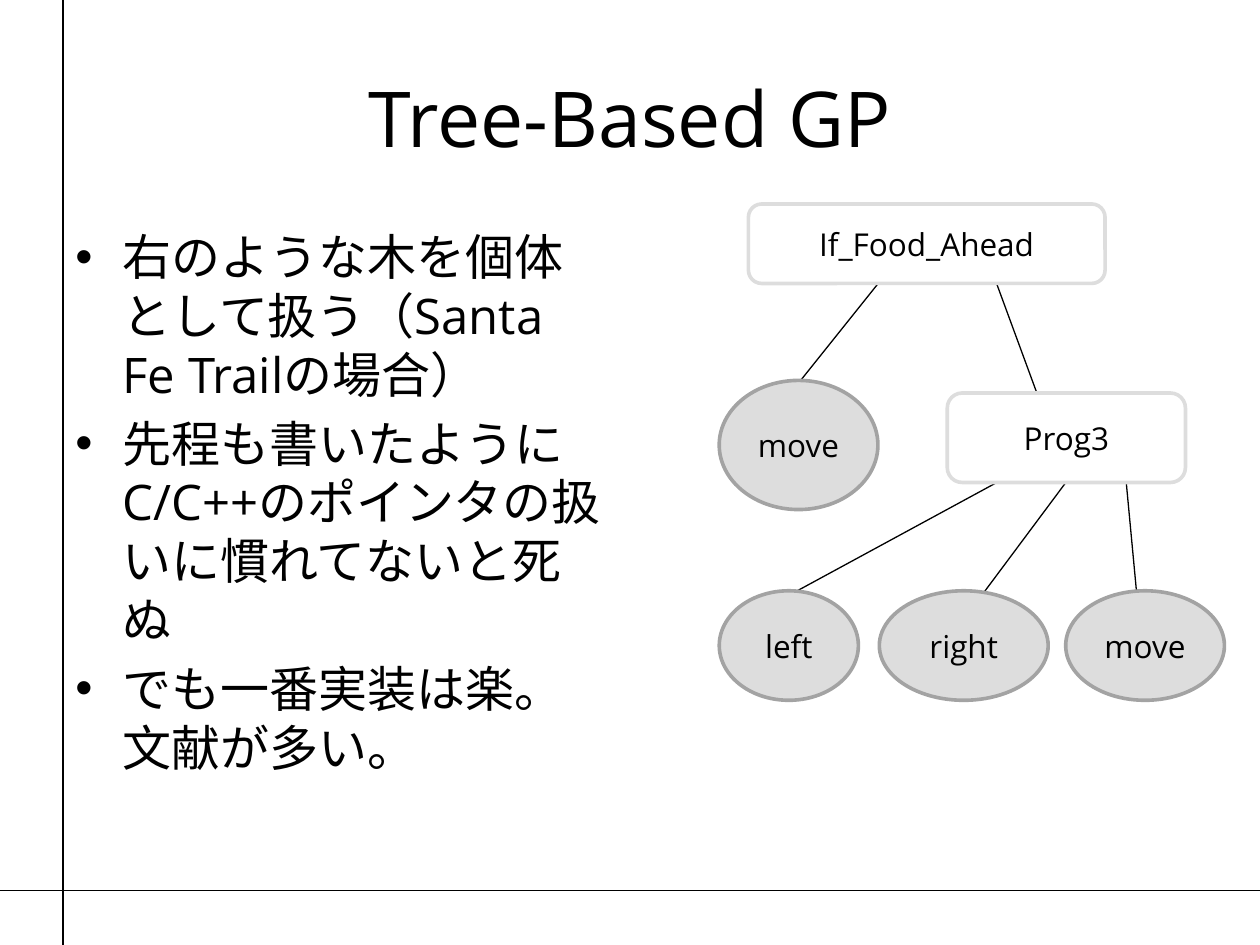
from lxml import etree
from pptx import Presentation
from pptx.dml.color import RGBColor
from pptx.enum import shapes, text
from pptx.oxml import ns
from pptx.util import Pt

HUES = {"ink": "000000", "paper": "FFFFFF", "pale": "DDDDDD", "grey": "A3A3A3"}
FONT = "Open Sans"
WIDE, HIGH = 720, 540
POINTS = [
    "右のような木を個体として扱う（Santa Fe Trailの場合）",
    "先程も書いたようにC/C++のポインタの扱いに慣れてないと死ぬ",
    "でも一番実装は楽。文献が多い。",
]
KINDS = {
    "branch": (shapes.MSO_SHAPE.ROUNDED_RECTANGLE, "paper", "pale"),
    "leaf": (shapes.MSO_SHAPE.OVAL, "pale", "grey"),
}
NODES = [
    ("If_Food_Ahead", "branch", 16.7, 0, 203.8, 45.4),
    ("move", "leaf", 0, 100.8, 90.7, 73.8),
    ("Prog3", "branch", 130.3, 108, 136.1, 51.1),
    ("left", "leaf", 0, 221, 79.5, 62.6),
    ("right", "leaf", 91.5, 221, 96.5, 62.6),
    ("move", "leaf", 198, 221, 90.7, 62.6),
]
EDGES = [
    (90.8, 45.4, 45.4, 102.2),
    (158.5, 45.4, 181.5, 108),
    (158.5, 159.2, 33.9, 226.8),
    (198, 159.2, 147.6, 226.8),
    (232.6, 159.2, 238.4, 221),
]


def hue(name):
    """Return the named colour."""
    return RGBColor.from_string(HUES[name])


def style(para, size):
    """Set the font of a paragraph."""
    para.font.name, para.font.size = FONT, Pt(size)
    para.font.color.rgb = hue("ink")


def rule(slide, *ends):
    """Draw a thin line between two points."""
    line = slide.shapes.add_connector(shapes.MSO_CONNECTOR.STRAIGHT, *map(Pt, ends))
    line.line.color.rgb, line.line.width = hue("ink"), Pt(0.75)
    etree.SubElement(line._element.spPr, ns.qn("a:effectLst"))


def frame(slide, x, y):
    """Draw the page rules crossing at a point."""
    rule(slide, 0, y, WIDE, y)
    rule(slide, x, 0, x, HIGH)


def title(slide, words, *box):
    """Place the centred heading."""
    body = slide.shapes.add_textbox(*map(Pt, box)).text_frame
    body.word_wrap, body.vertical_anchor = True, text.MSO_ANCHOR.MIDDLE
    para = body.paragraphs[0]
    para.text, para.alignment = words, text.PP_ALIGN.CENTER
    style(para, 44)


def bullets(slide, items, *box):
    """Place the bulleted list."""
    body = slide.shapes.add_textbox(*map(Pt, box)).text_frame
    body.word_wrap = True
    body.text = "\n".join(items)
    for para in body.paragraphs:
        style(para, 28)
        para.space_before = Pt(5.6)
        props = para._p.get_or_add_pPr()
        props.set("marL", str(Pt(27)))
        props.set("indent", str(Pt(-27)))
        etree.SubElement(props, ns.qn("a:buFont")).set("typeface", "Arial")
        etree.SubElement(props, ns.qn("a:buChar")).set("char", "•")
        props.append(props.find(ns.qn("a:defRPr")))


def node(slide, words, kind, *box):
    """Draw one labelled node."""
    form, fill, edge = KINDS[kind]
    shape = slide.shapes.add_shape(form, *map(Pt, box))
    shape.shadow.inherit = False
    shape.fill.solid()
    shape.fill.fore_color.rgb = hue(fill)
    shape.line.color.rgb, shape.line.width = hue(edge), Pt(2.08)
    body = shape.text_frame
    body.vertical_anchor, body.word_wrap = text.MSO_ANCHOR.MIDDLE, True
    para = body.paragraphs[0]
    para.text, para.alignment = words, text.PP_ALIGN.CENTER
    style(para, 18)


def tree(slide, x, y):
    """Draw the program tree from its top left corner."""
    for ax, ay, bx, by in EDGES:
        rule(slide, x + ax, y + ay, x + bx, y + by)
    for words, kind, left, top, wide, high in NODES:
        node(slide, words, kind, x + left, y + top, wide, high)


deck = Presentation()
deck.slide_width, deck.slide_height = Pt(WIDE), Pt(HIGH)
page = deck.slides.add_slide(deck.slide_layouts[6])
frame(page, 36, 509)
title(page, "Tree-Based GP", 36, 21.6, 648, 90)
bullets(page, POINTS, 36, 126, 318, 356.4)
tree(page, 411, 116.6)
deck.save("out.pptx")
